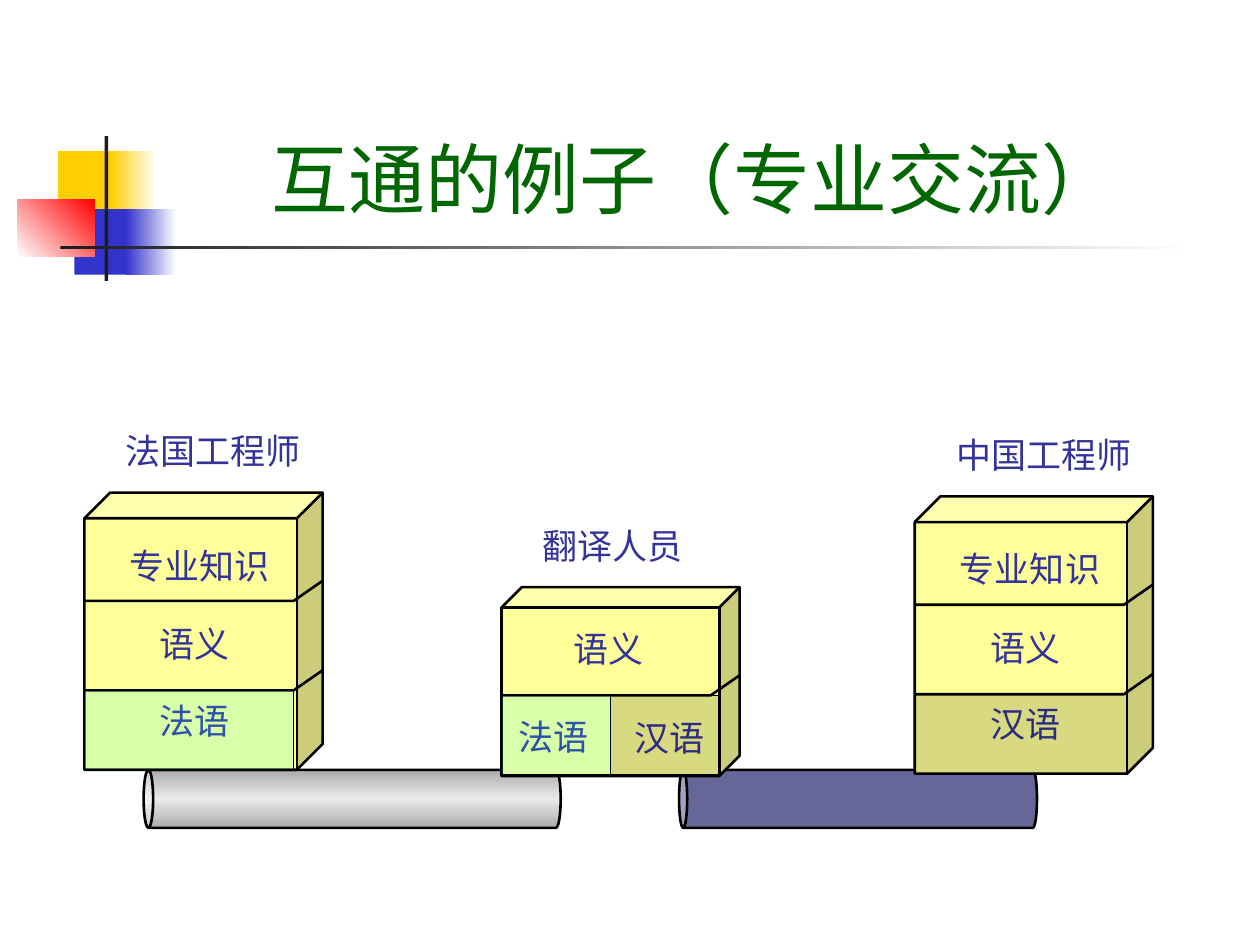
from copy import deepcopy

from lxml.etree import SubElement
from pptx import Presentation
from pptx.dml.color import RGBColor
from pptx.enum.shapes import MSO_CONNECTOR, MSO_SHAPE
from pptx.enum.text import MSO_ANCHOR, MSO_AUTO_SIZE, PP_ALIGN
from pptx.oxml.ns import qn
from pptx.util import Inches, Pt

YELLOW, CYAN, BLACK, WHITE = "FFFF99", "00FFFF", "000000", "FFFFFF"
GOLD, BLUE, RED, DARK = "FFCF01", "3333CC", "FF0000", "1C1C1C"
CUBE_WIDTH, FRONT_WIDTH, SEAM_RISE, LANGUAGE_HEIGHT = 1.89, 1.66, 0.16, 0.63


def color(hex_string):
    return RGBColor.from_string(hex_string)


class SlideBuilder:
    """Holds the style and the slide; places things on a 10 by 7.5 grid."""

    font_name, text_size, text_color = "Arial", 20, "333399"
    title_size, title_color = 44, "006600"
    columns, rows = 10, 7.5

    def __init__(self, presentation):
        self.column = presentation.slide_width / self.columns
        self.row = presentation.slide_height / self.rows
        self.slide = presentation.slides.add_slide(presentation.slide_layouts[5])
        self.shapes = self.slide.shapes

    def grid(self, *lengths):
        """Turn alternating column and row lengths into slide units."""
        units = (self.column, self.row)
        return [round(length * units[i % 2]) for i, length in enumerate(lengths)]

    def style_text(self, paragraph, size, hex_string):
        paragraph.font.name = self.font_name
        paragraph.font.size = Pt(size)
        paragraph.font.color.rgb = color(hex_string)

    def title(self, text, *box):
        title = self.shapes.title
        title.left, title.top, title.width, title.height = self.grid(*box)
        frame = title.text_frame
        frame.text = text
        frame.vertical_anchor = MSO_ANCHOR.BOTTOM
        frame.auto_size = MSO_AUTO_SIZE.NONE
        frame.paragraphs[0].alignment = PP_ALIGN.CENTER
        self.style_text(frame.paragraphs[0], self.title_size, self.title_color)

    def label(self, text, left, top):
        width = 0.2 + len(text) * self.text_size / 72
        frame = self.shapes.add_textbox(*self.grid(left, top, width, 0.43)).text_frame
        frame.text = text
        frame.word_wrap = False
        frame.auto_size = MSO_AUTO_SIZE.SHAPE_TO_FIT_TEXT
        self.style_text(frame.paragraphs[0], self.text_size, self.text_color)

    def shape(self, kind, box, fill, line_width=0, adjustment=None, angle=0):
        """Add a preset shape; a list of colours makes an even gradient."""
        shape = self.shapes.add_shape(kind, *self.grid(*box))
        shape.shadow.inherit = False
        if isinstance(fill, list):
            self.gradient(shape, fill, angle)
        else:
            shape.fill.solid()
            shape.fill.fore_color.rgb = color(fill)
        if line_width:
            shape.line.color.rgb = color(BLACK)
            shape.line.width = Pt(line_width)
        else:
            shape.line.fill.background()
        if adjustment is not None:
            shape.adjustments[0] = adjustment
        return shape

    def gradient(self, shape, hex_strings, angle):
        shape.fill.gradient()
        shape.fill.gradient_angle = angle
        stop_list = shape._element.spPr.find(".//" + qn("a:gsLst"))
        for _ in hex_strings[2:]:
            stop_list.append(deepcopy(stop_list[0]))
        for i, (stop, hex_string) in enumerate(zip(shape.fill.gradient_stops, hex_strings)):
            stop.position = i / (len(hex_strings) - 1)
            stop.color.rgb = color(hex_string)

    def tint(self, box, fill):
        """Lay a 15 % veil over a language cell."""
        shape = self.shape(MSO_SHAPE.RECTANGLE, box, fill, 0.75)
        solid_color = shape._element.spPr.find(qn("a:solidFill"))[0]
        SubElement(solid_color, qn("a:alpha"), val="15000")

    def pipe(self, left, top, length, diameter, fill, cap):
        """Add a can turned on its side; the box is the one that shows."""
        box = (left + (length - diameter) / 2, top - (length - diameter) / 2, diameter, length)
        self.shape(MSO_SHAPE.CAN, box, fill, 1.5, cap).rotation = 270

    def cube(self, left, top, height):
        self.shape(MSO_SHAPE.CUBE, (left, top, CUBE_WIDTH, height), YELLOW, 1.5, 0.108)

    def seam(self, left, top):
        """Draw a layer border along the front and up the side of a cube."""
        start, front_edge, back_edge = (
            self.grid(left + x, top - rise)
            for x, rise in ((0, 0), (FRONT_WIDTH, 0), (CUBE_WIDTH, SEAM_RISE)))
        builder = self.shapes.build_freeform(*start)
        builder.add_line_segments([front_edge, back_edge], close=False)
        seam = builder.convert_to_shape()
        seam.shadow.inherit = False
        seam.fill.background()
        seam.line.color.rgb = color(BLACK)
        seam.line.width = Pt(1.5)

    def divider(self, x, top, bottom):
        line = self.shapes.add_connector(MSO_CONNECTOR.STRAIGHT, *self.grid(x, top, x, bottom))
        line.line.color.rgb = color(BLACK)
        line.line.width = Pt(0.75)
        SubElement(line._element.spPr, qn("a:effectLst"))

    def engineer(self, name, language, left, top, tint, tint_width):
        """Stack knowledge, meaning and language in one cube."""
        self.label(name, left + 0.23, top - 0.55)
        self.cube(left, top, 2.2)
        self.label("专业知识", left + 0.26, top + 0.36)
        self.label("语义", left + 0.5, top + 0.98)
        self.label(language, left + 0.5, top + 1.59)
        for seam_top in (0.86, 1.57):
            self.seam(left, top + seam_top)
        self.tint((left, top + 1.57, tint_width, LANGUAGE_HEIGHT), tint)

    def translator(self, left, top):
        """Two languages side by side under a shared meaning."""
        language_top, cell = top + 0.86, 0.865
        self.label("翻译人员", left + 0.23, top - 0.55)
        self.cube(left, top, 1.5)
        self.label("语义", left + 0.47, top + 0.27)
        self.label("法语", left + 0.04, top + 0.97)
        self.label("汉语", left + 0.96, top + 0.98)
        self.seam(left, language_top)
        self.divider(left + cell, language_top, language_top + LANGUAGE_HEIGHT)
        for i, fill in enumerate((CYAN, BLACK)):
            self.tint((left + i * cell, language_top, cell, LANGUAGE_HEIGHT), fill)


def main():
    presentation = Presentation()
    presentation.slide_width, presentation.slide_height = Inches(10), Inches(7.5)
    builder = SlideBuilder(presentation)

    # Corner ornament and rule
    for box, fill, angle in (
        ((0.46, 1.2, 0.48, 0.52), GOLD, 0),
        ((0.88, 1.2, 0.36, 0.52), [GOLD, WHITE], 0),
        ((0.59, 1.66, 0.46, 0.52), BLUE, 0),
        ((1, 1.66, 0.4, 0.52), [BLUE, WHITE], 0),
        ((0.14, 1.58, 0.61, 0.46), [WHITE, RED], 45),
        ((0.83, 1.08, 0.03, 1.15), DARK, 0),
        ((0.48, 1.95, 9, 0.03), [DARK, WHITE], 0),
    ):
        builder.shape(MSO_SHAPE.RECTANGLE, box, fill, angle=angle)

    # Title
    builder.title("互通的例子（专业交流）", 1.26, 0.23, 8.52, 1.6)

    # Channels between the speakers
    builder.pipe(5.39, 6.11, 2.84, 0.46, "666699", 0.14)
    builder.pipe(1.14, 6.11, 3.31, 0.46, ["ACACAC", "EAEAEA", "ACACAC"], 0.164)

    # Speakers
    builder.translator(3.98, 4.66)
    builder.engineer("法国工程师", "法语", 0.67, 3.91, CYAN, 1.66)
    builder.engineer("中国工程师", "汉语", 7.26, 3.94, BLACK, 1.68)

    presentation.save("out.pptx")


if __name__ == "__main__":
    main()
